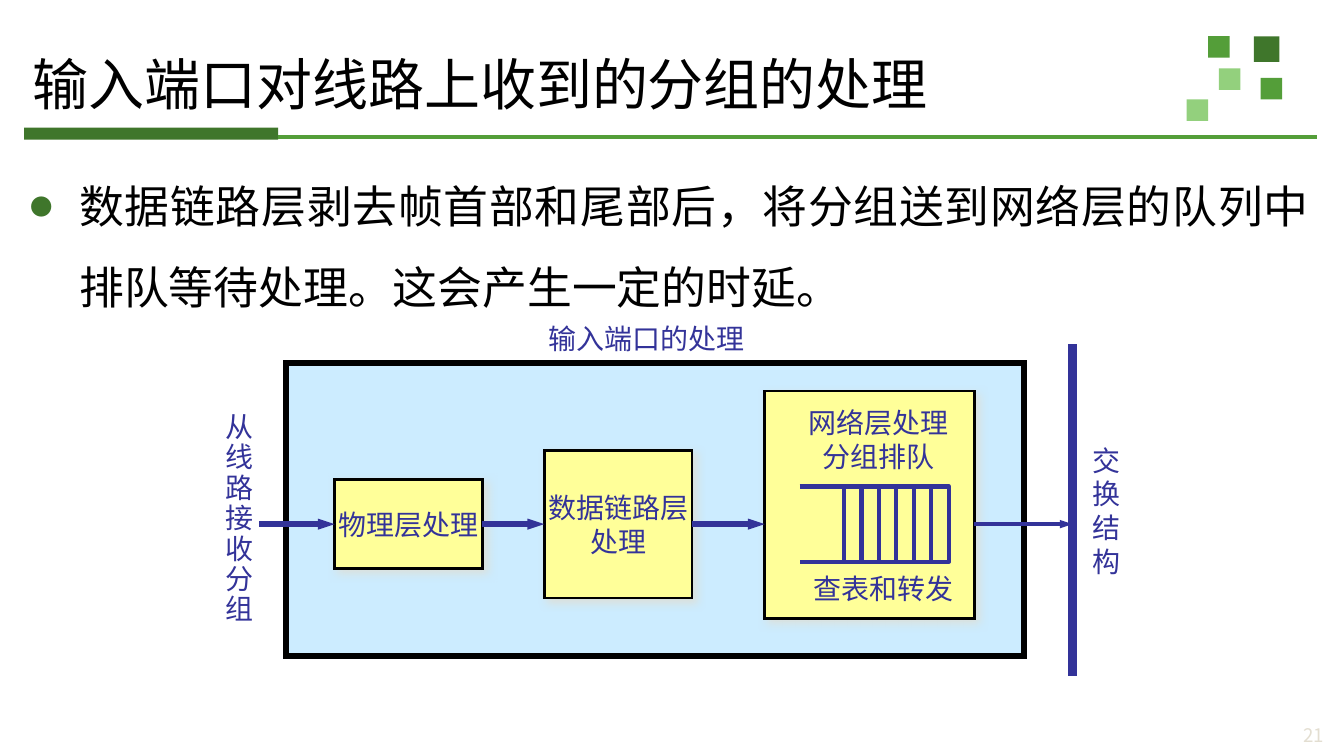
from lxml.etree import SubElement
from pptx import Presentation
from pptx.dml.color import RGBColor
from pptx.enum.shapes import MSO_CONNECTOR, MSO_SHAPE
from pptx.enum.text import MSO_ANCHOR, PP_ALIGN
from pptx.oxml import parse_xml
from pptx.oxml.ns import nsdecls, qn
from pptx.util import Inches, Pt

FONT = "Noto Sans CJK SC"
INK, YELLOW, BLACK = "333399", "FFFF99", "000000"
DARK, GREEN, LIGHT = "3F762B", "549E39", "93D07D"
color = RGBColor.from_string

# A 16:9 page
deck = Presentation()
deck.slide_width, deck.slide_height = Inches(10), Inches(10 * 9 / 16)
page = deck.slides.add_slide(deck.slide_layouts[6])


def write(box, lines, size=15, ink=INK, align=PP_ALIGN.CENTER, spacing=Pt(18),
          anchor=MSO_ANCHOR.TOP, wrap=False, insets=(0.1, 0.05, 0.1, 0.05)):
    frame = box.text_frame
    left, top, right, bottom = map(Inches, insets)
    layout = {"word_wrap": wrap, "vertical_anchor": anchor, "margin_left": left,
              "margin_top": top, "margin_right": right, "margin_bottom": bottom}
    for name, value in layout.items():
        setattr(frame, name, value)
    for index, line in enumerate(lines):
        para = frame.add_paragraph() if index else frame.paragraphs[0]
        para.alignment, para.line_spacing = align, spacing
        span = para.add_run()
        span.text = line
        for name, value in {"size": Pt(size), "name": FONT}.items():
            setattr(span.font, name, value)
        span.font.color.rgb = color(ink)
        SubElement(span.font._element, qn("a:ea"), typeface=FONT)


def draw_line(start, end, width, ink=INK, arrow=False):
    line = page.shapes.add_connector(MSO_CONNECTOR.STRAIGHT, *map(Inches, start + end))
    line.line.width = Pt(width)
    line.line.color.rgb = color(ink)
    if arrow:
        SubElement(line.line._get_or_add_ln(), qn("a:tailEnd"), type="triangle", w="sm")
    SubElement(line._element.spPr, qn("a:effectLst"))
    return line


# Corner squares and the rule below the title
decorations = [
    (9.33, 0.27, 0.19, 0.19, DARK), (8.99, 0.27, 0.16, 0.16, GREEN),
    (9.38, 0.58, 0.16, 0.16, GREEN), (9.07, 0.51, 0.16, 0.16, LIGHT),
    (8.83, 0.74, 0.16, 0.16, LIGHT), (0.18, 0.95, 1.89, 0.09, DARK),
]
for *place, fill in decorations:
    block = page.shapes.add_shape(MSO_SHAPE.RECTANGLE, *map(Inches, place))
    block.shadow.inherit = False
    block.fill.solid()
    block.fill.fore_color.rgb = color(fill)
    block.line.fill.background()
draw_line((2.07, 1.02), (9.8, 1.02), 2, GREEN)

# Title
title = page.shapes.add_textbox(Inches(0.16), Inches(0.33), Inches(8.44), Inches(0.63))
write(title, ["输入端口对线路上收到的分组的处理"], 30, BLACK, PP_ALIGN.LEFT, 0.9,
      MSO_ANCHOR.MIDDLE, True, (0.08, 0.05, 0.07, 0.04))

# Bulleted statement
body = page.shapes.add_textbox(Inches(0.14), Inches(1.09), Inches(9.66), Inches(1.41))
write(body, ["数据链路层剥去帧首部和尾部后，将分组送到网络层的队列中排队等待处理。这会产生一定的时延。"],
      24, BLACK, PP_ALIGN.JUSTIFY, Pt(43.4), wrap=True, insets=(0.09, 0.04, 0.06, 0.04))
properties = body.text_frame.paragraphs[0]._p.get_or_add_pPr()
properties.set("marL", str(Inches(0.36)))
properties.set("indent", str(-Inches(0.36)))
bullet_color = SubElement(properties, qn("a:buClr"))
SubElement(bullet_color, qn("a:srgbClr"), val=DARK)
SubElement(properties, qn("a:buSzPct"), val="50000")
SubElement(properties, qn("a:buFont"), typeface=FONT)
SubElement(properties, qn("a:buChar"), char="●")

# Input port and its three stages
rectangles = {
    "port": (2.13, 2.7, 5.49, 2.18, "CCECFF", 3, []),
    "physical": (2.49, 3.57, 1.1, 0.66, YELLOW, 1.5, ["物理层处理"]),
    "link": (4.05, 3.35, 1.1, 1.1, YELLOW, 1.5, ["数据链路层", "处理"]),
    "network": (5.69, 2.91, 1.56, 1.69, YELLOW, 1.5, []),
}
boxes = {}
for name, (*place, fill, width, lines) in rectangles.items():
    box = page.shapes.add_shape(MSO_SHAPE.RECTANGLE, *map(Inches, place))
    box.shadow.inherit = False
    box.fill.solid()
    box.fill.fore_color.rgb = color(fill)
    box.line.color.rgb = color(BLACK)
    box.line.width = Pt(width)
    SubElement(box.line._get_or_add_ln(), qn("a:miter"), lim="800000")
    write(box, lines, anchor=MSO_ANCHOR.MIDDLE)
    if name != "port":
        box._element.spPr.find(qn("a:effectLst")).append(parse_xml(
            f'<a:outerShdw {nsdecls("a")} blurRad="{Pt(5)}" dist="{Pt(3)}" dir="2700000">'
            '<a:srgbClr val="E3DED1"><a:alpha val="75000"/></a:srgbClr></a:outerShdw>'))
    boxes[name] = box

# Flow arrows and the switching fabric bar
flow = 3.9
arrows = [
    (1.93, 2.49, 3, None, "physical"), (3.59, 4.05, 3, "physical", "link"),
    (5.15, 5.69, 3, "link", None), (7.25, 7.98, 2.25, None, None),
]
for left, right, width, source, target in arrows:
    arrow = draw_line((left, flow), (right, flow), width, arrow=True)
    if source:
        arrow.begin_connect(boxes[source], 3)
    if target:
        arrow.end_connect(boxes[target], 1)
draw_line((7.98, 2.56), (7.98, 5.03), 4.5)

# Packet queue: open on the left, with evenly spaced slots
top, bottom, right = 3.62, 4.18, 7.06
outline = page.shapes.build_freeform(Inches(5.95), Inches(top), scale=1.0)
outline.add_line_segments([(Inches(right), Inches(top)), (Inches(right), Inches(bottom)),
                           (Inches(5.95), Inches(bottom))], close=False)
queue = outline.convert_to_shape()
queue.shadow.inherit = False
queue.fill.solid()
queue.fill.fore_color.rgb = color(YELLOW)
queue.line.color.rgb = color(INK)
queue.line.width = Pt(2.25)
for slot in range(1, 7):
    x = right - 0.13 * slot
    draw_line((x, top), (x, bottom), 2.25)

# Labels; a string used as lines runs down the page
labels = [
    (5.91, 2.97, 1.25, 0.61, ["网络层处理", "分组排队"], 18),
    (8.03, 3.25, 0.41, 1.11, "交换结构", 18),
    (3.91, 2.34, 1.8, 0.35, ["输入端口的处理"], 18),
    (1.58, 3.02, 0.41, 1.69, "从线路接收分组", 16.3),
    (5.95, 4.2, 1.25, 0.35, ["查表和转发"], 18),
]
for *place, lines, spacing in labels:
    label = page.shapes.add_textbox(*map(Inches, place))
    write(label, lines, spacing=Pt(spacing))

# Page number
number = page.shapes.add_textbox(Inches(9.2), Inches(5.33), Inches(0.72), Inches(0.28))
write(number, ["21"], 10, "E3DED1", PP_ALIGN.RIGHT, 1.0, MSO_ANCHOR.MIDDLE,
      insets=(0.07, 0.04, 0.07, 0.04), wrap=True)

deck.save("out.pptx")
